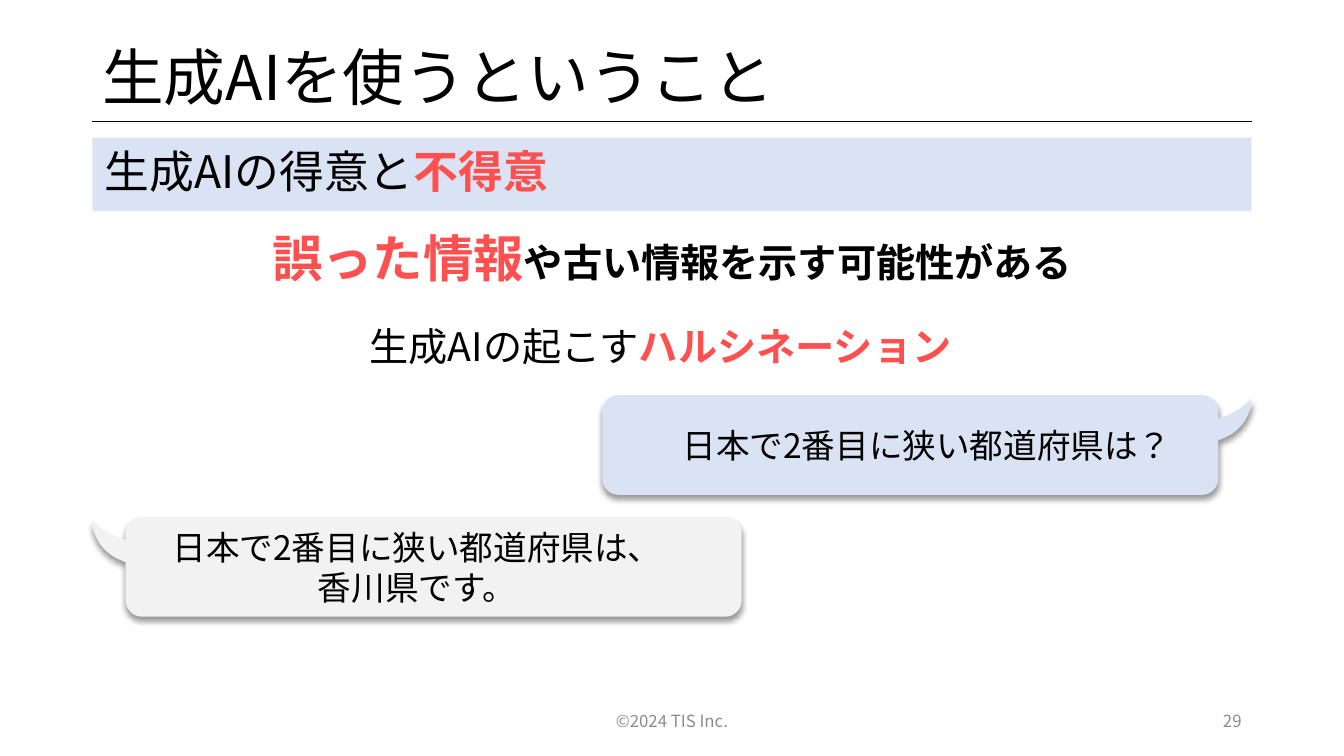
from dataclasses import dataclass

from lxml.etree import SubElement
from pptx import Presentation
from pptx.dml.color import RGBColor
from pptx.enum.lang import MSO_LANGUAGE_ID as Language
from pptx.enum.shapes import MSO_CONNECTOR, MSO_SHAPE
from pptx.enum.text import MSO_ANCHOR, PP_ALIGN as Align
from pptx.oxml import parse_xml
from pptx.oxml.ns import nsdecls, qn
from pptx.util import Cm, Pt


@dataclass(frozen=True)
class Theme:
    font: str = "Noto Sans CJK JP"
    ink: str = "000000"
    accent: str = "FF5050"
    band: str = "DAE3F3"
    reply: str = "F2F2F2"
    muted: str = "8C8C8C"
    title: int = 44
    heading: int = 32
    strong: int = 36
    body: int = 28
    chat: int = 24
    footer: int = 12


theme = Theme()

# Content: each run is (text, size, colour, bold)
TITLE = [("生成AIを使うということ", theme.title, theme.ink, False)]
HEADING = [("生成AIの得意と", theme.heading, theme.ink, False),
           ("不得意", theme.heading, theme.accent, True)]
WARNING = [("誤った情報", theme.strong, theme.accent, True),
           ("や古い情報を示す可能性がある", theme.body, theme.ink, True)]
TERM = [("生成AIの起こす", theme.body, theme.ink, False),
        ("ハルシネーション", theme.body, theme.accent, True)]
QUESTION = ["日本で2番目に狭い都道府県は？"]
ANSWER = ["日本で2番目に狭い都道府県は、", "香川県です。"]
COPYRIGHT = [("©2024 TIS Inc.", theme.footer, theme.muted, False)]
PAGE_NUMBER = [("29", theme.footer, theme.muted, False)]

# Layout in centimetres
LEFT, WIDTH = 2.33, 29.21
RIGHT = LEFT + WIDTH
ROW = 1.85
BUBBLE_WIDTH, BUBBLE_HEIGHT = 16.36, 2.51
CORNER, BODY_LEFT = 0.41, 0.84

# (left, top, width, height, runs, alignment, line spacing)
TEXTS = [
    (LEFT, 1.02, WIDTH, 2.03, TITLE, Align.LEFT, 0.9),
    (LEFT + 0.05, 3.46, WIDTH, ROW, HEADING, Align.LEFT, 0.9),
    (LEFT, 5.67, WIDTH, ROW, WARNING, Align.CENTER, 0.9),
    (LEFT - 0.29, 7.87, WIDTH, ROW, TERM, Align.CENTER, 0.9),
    (11.22, 17.65, 11.43, 1.02, COPYRIGHT, Align.CENTER, 1.0),
    (RIGHT - 7.62, 17.65, 7.62, 1.02, PAGE_NUMBER, Align.RIGHT, 1.0),
]
# (left, top, lines, fill, tail on the right)
BUBBLES = [
    (RIGHT - BUBBLE_WIDTH, 9.96, QUESTION, theme.band, True),
    (LEFT, 13.03, ANSWER, theme.reply, False),
]


def color(value):
    return RGBColor.from_string(value)


def add_span(para, text, size, ink, bold):
    span = para.add_run()
    span.text = text
    span.font.size, span.font.bold = Pt(size), bold
    span.font.name = theme.font
    span.font.language_id = Language.JAPANESE
    span.font.color.rgb = color(ink)
    SubElement(span.font._element, qn("a:ea"), typeface=theme.font)


def first_para(shape, align):
    frame = shape.text_frame
    frame.word_wrap = True
    frame.vertical_anchor = MSO_ANCHOR.MIDDLE
    para = frame.paragraphs[0]
    para.alignment = align
    return para


def add_text(page, left, top, width, height, runs, align, spacing):
    box = page.shapes.add_textbox(Cm(left), Cm(top), Cm(width), Cm(height))
    para = first_para(box, align)
    para.line_spacing = spacing
    for run in runs:
        add_span(para, *run)


def rounded(start, corner, end):
    """Cubic corner: two control points and the end."""
    near, far = (tuple(p + 0.55 * (c - p) for p, c in zip(point, corner))
                 for point in (start, end))
    return near, far, end


def bubble_segments():
    """Body with a tail at the upper left: one point is a line, three a curve."""
    x, w, h, r = BODY_LEFT, BUBBLE_WIDTH, BUBBLE_HEIGHT, CORNER
    return [
        ((w - r, 0),),
        rounded((w - r, 0), (w, 0), (w, r)),
        ((w, h - r),),
        rounded((w, h - r), (w, h), (w - r, h)),
        ((x + r, h),),
        rounded((x + r, h), (x, h), (x, h - r)),
        ((x, 1.14),),
        ((0.61, 1.04),),
        ((0.23, 0.84), (0, 0.48), (0, 0.08)),
        ((0.15, 0.25), (0.38, 0.41), (0.61, 0.51)),
        ((x, 0.58),),
        ((x, r),),
        rounded((x, r), (x, 0), (x + r, 0)),
    ]


def bend(bubble, segments):
    """Join the points of each three-point segment into one curve."""
    outline = next(bubble._element.iter(qn("a:path")))
    steps = iter(list(outline)[1:])
    for segment in segments[1:]:
        lines = [next(steps) for _ in segment]
        if len(lines) == 3:
            arc = parse_xml(f'<a:cubicBezTo {nsdecls("a")}/>')
            lines[0].addprevious(arc)
            for line in lines:
                arc.append(line[0])
                outline.remove(line)


def add_bubble(page, left, top, lines, fill, tail_right):
    segments = bubble_segments()
    points = [(Cm(left + (BUBBLE_WIDTH - x if tail_right else x)), Cm(top + y))
              for segment in segments for x, y in segment]
    builder = page.shapes.build_freeform(*points[0])
    builder.add_line_segments(points[1:], close=True)
    bubble = builder.convert_to_shape()
    bend(bubble, segments)
    bubble.fill.solid()
    bubble.fill.fore_color.rgb = color(fill)
    bubble.line.fill.background()
    bubble._element.spPr.append(parse_xml(
        f'<a:effectLst {nsdecls("a")}><a:outerShdw blurRad="{Pt(4)}" dist="{Pt(3)}" '
        f'dir="5400000" algn="t" rotWithShape="0"><a:srgbClr val="{theme.ink}">'
        '<a:alpha val="40000"/></a:srgbClr></a:outerShdw></a:effectLst>'))
    para = first_para(bubble, Align.CENTER)
    for index, line in enumerate(lines):
        if index:
            para.add_line_break()
        add_span(para, line, theme.chat, theme.ink, False)


def main():
    deck = Presentation()
    deck.slide_width, deck.slide_height = Cm(33.87), Cm(19.05)
    page = deck.slides.add_slide(deck.slide_layouts[6])

    # Title rule and heading band
    rule = page.shapes.add_connector(
        MSO_CONNECTOR.STRAIGHT, Cm(LEFT), Cm(3.06), Cm(RIGHT), Cm(3.06))
    rule.line.color.rgb = color(theme.ink)
    rule.line.width = Pt(0.5)
    SubElement(rule._element.spPr, qn("a:effectLst"))
    band = page.shapes.add_shape(
        MSO_SHAPE.RECTANGLE, Cm(LEFT), Cm(3.47), Cm(WIDTH), Cm(ROW))
    band.shadow.inherit = False
    band.fill.solid()
    band.fill.fore_color.rgb = color(theme.band)
    band.line.fill.background()

    # Chat bubbles and text
    for bubble in BUBBLES:
        add_bubble(page, *bubble)
    for text in TEXTS:
        add_text(page, *text)

    deck.save("out.pptx")


if __name__ == "__main__":
    main()
